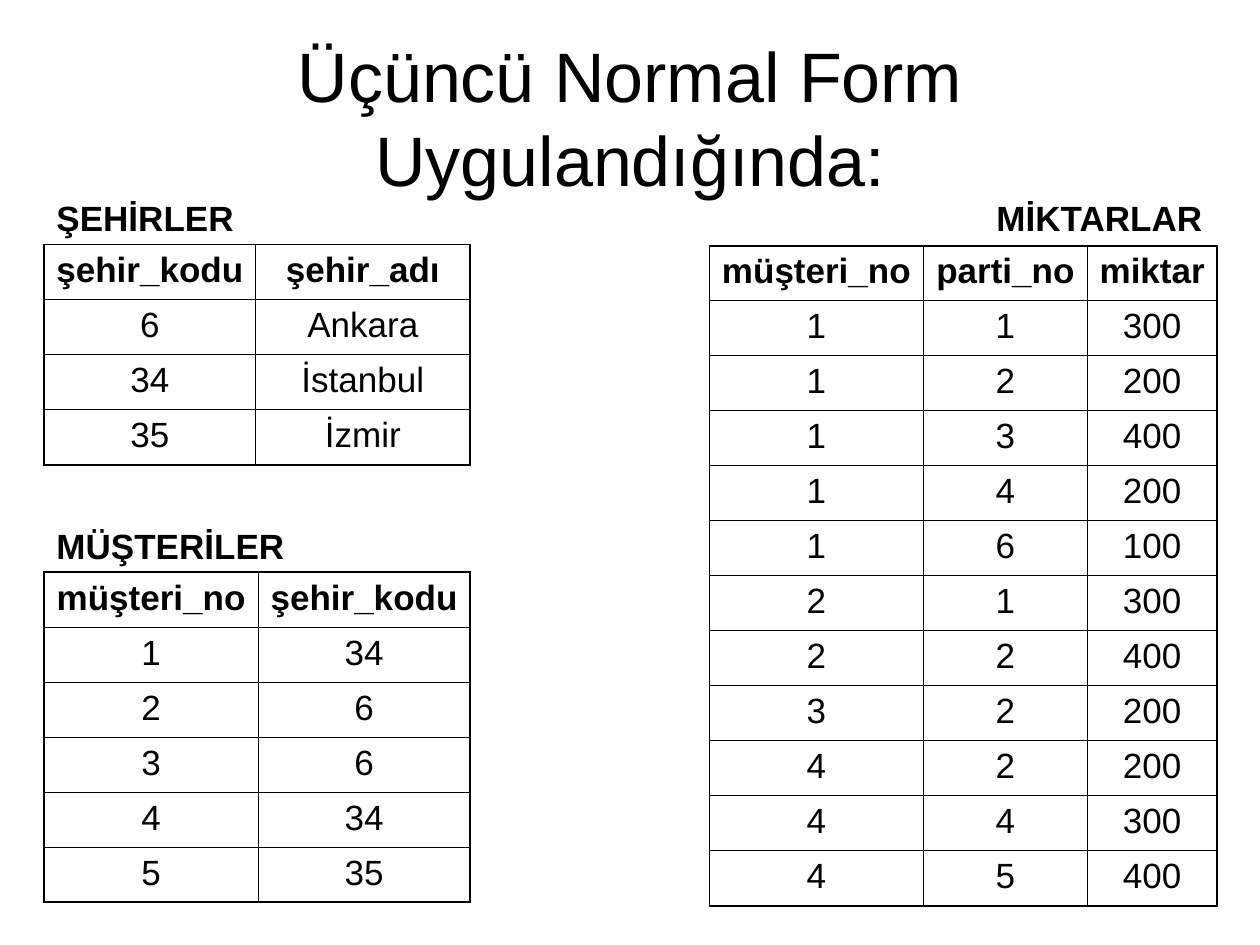
"""Build the slide with the tables that result from third normal form."""
from lxml.etree import SubElement
from pptx import Presentation
from pptx.dml.color import RGBColor
from pptx.enum.text import MSO_ANCHOR as Anchor, PP_ALIGN as Align
from pptx.oxml.ns import qn
from pptx.util import Inches, Pt

COLORS = {"ink": "000000", "paper": "FFFFFF"}
INK = RGBColor.from_string(COLORS["ink"])
TITLE = {"name": "Arial", "size": Pt(40), "bold": False}
HEADING = {"name": "Arial", "size": Pt(20), "bold": True}
VALUE = {**HEADING, "bold": False}
OUTER, INNER = Pt(1.08), Pt(0.45)


def write(frame, text, look, align):
    frame.word_wrap = True
    paragraph = frame.paragraphs[0]
    paragraph.alignment = align
    run = paragraph.add_run()
    run.text = text
    for key, value in look.items():
        setattr(run.font, key, value)
    run.font.color.rgb = INK


def draw_borders(cell, widths):
    properties = cell._tc.get_or_add_tcPr()
    for position, (side, width) in enumerate(widths.items()):
        line = properties.makeelement(qn(f"a:{side}"), {"w": str(int(width))})
        properties.insert(position, line)
        SubElement(SubElement(line, qn("a:solidFill")), qn("a:srgbClr"), val=COLORS["ink"])


prs = Presentation()
prs.slide_width, prs.slide_height = Inches(10), Inches(7.5)
slide = prs.slides.add_slide(prs.slide_layouts[6])
slide.background.fill.solid()
slide.background.fill.fore_color.rgb = RGBColor.from_string(COLORS["paper"])

title = slide.shapes.add_textbox(Inches(0.5), Inches(0.3), Inches(9), Inches(1.25)).text_frame
title.vertical_anchor = Anchor.MIDDLE
write(title, "Üçüncü Normal Form Uygulandığında:", TITLE, Align.CENTER)

relations = [
    (5.63, 1.95, 5.24, [1.7, 1.3, 1.03], [
        ("müşteri_no", "parti_no", "miktar"),
        (1, 1, 300), (1, 2, 200), (1, 3, 400), (1, 4, 200), (1, 6, 100),
        (2, 1, 300), (2, 2, 400), (3, 2, 200),
        (4, 2, 200), (4, 4, 300), (4, 5, 400),
    ]),
    (0.35, 1.94, 1.75, [1.68, 1.7], [
        ("şehir_kodu", "şehir_adı"),
        (6, "Ankara"), (34, "İstanbul"), (35, "İzmir"),
    ]),
    (0.35, 4.54, 2.62, [1.7, 1.68], [
        ("müşteri_no", "şehir_kodu"),
        (1, 34), (2, 6), (3, 6), (4, 34), (5, 35),
    ]),
]
for left, top, height, widths, records in relations:
    last_row, last_column = len(records) - 1, len(widths) - 1
    relation = slide.shapes.add_table(
        len(records), len(widths), Inches(left), Inches(top), Inches(sum(widths)), Inches(height)
    ).table
    for column, width in zip(relation.columns, widths):
        column.width = Inches(width)
    for r, record in enumerate(records):
        for c, entry in enumerate(record):
            cell = relation.cell(r, c)
            cell.fill.background()
            cell.margin_left = cell.margin_right = Inches(0.09)
            write(cell.text_frame, str(entry), VALUE if r else HEADING, Align.CENTER)
            draw_borders(cell, {
                "lnL": INNER if c else OUTER,
                "lnR": OUTER if c == last_column else INNER,
                "lnT": INNER if r else OUTER,
                "lnB": OUTER if r == last_row else INNER,
            })

relation_names = [
    ("ŞEHİRLER", 0.35, 1.51, Align.LEFT),
    ("MİKTARLAR", 7.2, 1.51, Align.RIGHT),
    ("MÜŞTERİLER", 0.35, 4.11, Align.LEFT),
]
for name, left, top, align in relation_names:
    label = slide.shapes.add_textbox(Inches(left), Inches(top), Inches(2.44), Inches(0.44))
    write(label.text_frame, name, HEADING, align)

prs.save("out.pptx")
